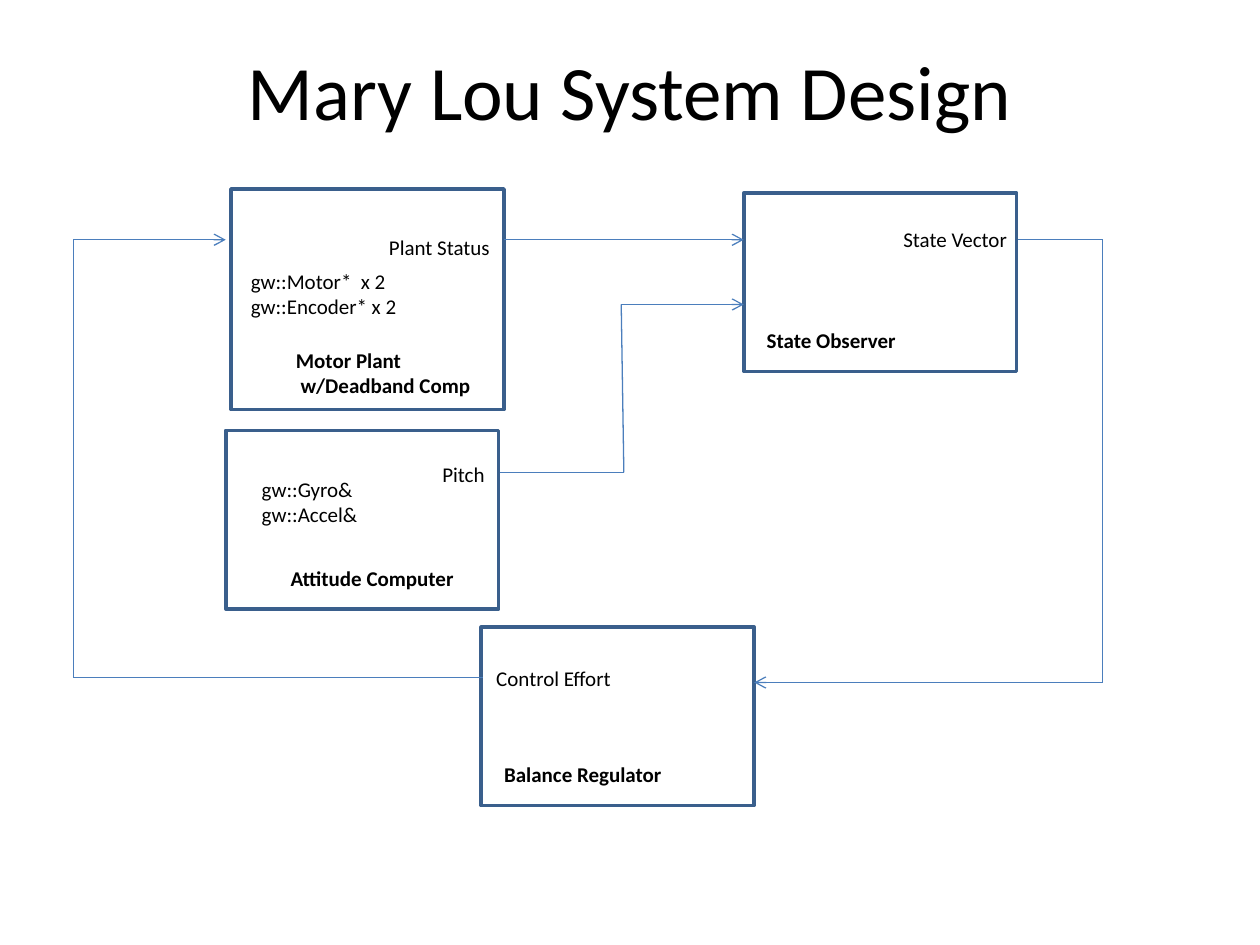
from itertools import pairwise

from lxml import etree
from pptx import Presentation
from pptx.dml.color import RGBColor
from pptx.enum.shapes import MSO_CONNECTOR, MSO_SHAPE
from pptx.enum.text import MSO_ANCHOR, PP_ALIGN
from pptx.oxml.ns import qn
from pptx.util import Pt

LEFT, CENTER, RIGHT = PP_ALIGN.LEFT, PP_ALIGN.CENTER, PP_ALIGN.RIGHT
TOP, MIDDLE = MSO_ANCHOR.TOP, MSO_ANCHOR.MIDDLE
RECTANGLE = MSO_SHAPE.RECTANGLE
STRAIGHT = MSO_CONNECTOR.STRAIGHT

THEME = {
    "font": "Calibri",
    "text": RGBColor(0x00, 0x00, 0x00),
    "border": RGBColor(0x3A, 0x5F, 0x8C),
    "signal": RGBColor(0x4B, 0x7E, 0xBC),
    "border_width": 2,
    "signal_width": 0.75,
    "title_size": 44,
    "label_size": 12,
}

SLIDE_SIZE = (720, 540)
BLOCK_WIDTH = 156
TITLE = ("Mary Lou System Design", (36, 6, 648, 90))

# Labels: lines, offset from the block's corner, size, bold, alignment
BLOCKS = [
    {"corner": (132, 108), "height": 126, "labels": [
        (["Motor Plant", " w/Deadband Comp"], (30, 87), (120, 44.5), True, LEFT),
        (["Plant Status"], (60, 22.3), (95, 26.6), False, RIGHT),
        (["gw::Motor*  x 2", "gw::Encoder* x 2"], (4.2, 41.8), (109.5, 36), False, LEFT),
    ]},
    {"corner": (129, 246), "height": 102, "labels": [
        (["Attitude Computer"], (30, 73.5), (120, 21.8), True, LEFT),
        (["Pitch"], (60, 14), (95, 21.8), False, RIGHT),
        (["gw::Gyro&", "gw::Accel&"], (13.5, 22.6), (92, 36), False, LEFT),
    ]},
    {"corner": (425, 110.3), "height": 102, "labels": [
        (["State Observer"], (6, 73.5), (120, 21.8), True, LEFT),
        (["State Vector"], (62.5, 15.5), (95, 21.8), False, RIGHT),
    ]},
    {"corner": (275, 358.4), "height": 102, "labels": [
        (["Balance Regulator"], (6, 73.5), (120, 21.8), True, LEFT),
        (["Control Effort"], (1.5, 18.2), (124.5, 21.8), False, LEFT),
    ]},
]

# Each signal is a route of corner points; its last segment has the arrowhead
SIGNALS = {
    "plant status": [(288, 137), (425, 137)],
    "pitch": [(286, 270), (356.5, 270), (355, 174), (425, 174)],
    "state vector": [(582, 137), (630, 137), (630, 390), (431, 390)],
    "control effort": [(276, 387), (42, 387), (42, 137), (129, 137)],
}


def points(*values):
    return [Pt(value) for value in values]


def add_text(slide, lines, box, size, bold=False, align=LEFT, anchor=TOP):
    frame = slide.shapes.add_textbox(*points(*box)).text_frame
    frame.word_wrap = True
    frame.vertical_anchor = anchor
    font_format = {"name": THEME["font"], "size": Pt(size), "bold": bold}
    for index, line in enumerate(lines):
        paragraph = frame.add_paragraph() if index else frame.paragraphs[0]
        paragraph.alignment = align
        run = paragraph.add_run()
        run.text = line
        for name, value in font_format.items():
            setattr(run.font, name, value)
        run.font.color.rgb = THEME["text"]


def add_block(slide, corner, height, labels):
    left, top = corner
    shape = slide.shapes.add_shape(RECTANGLE, *points(left, top, BLOCK_WIDTH, height))
    shape.shadow.inherit = False
    shape.fill.background()
    shape.line.color.rgb = THEME["border"]
    shape.line.width = Pt(THEME["border_width"])
    for lines, (right_by, down_by), size, bold, align in labels:
        box = (left + right_by, top + down_by, *size)
        add_text(slide, lines, box, THEME["label_size"], bold, align)


def add_signal(slide, route):
    for start, end in pairwise(route):
        connector = slide.shapes.add_connector(STRAIGHT, *points(*start, *end))
        connector.line.color.rgb = THEME["signal"]
        connector.line.width = Pt(THEME["signal_width"])
        etree.SubElement(connector._element.spPr, qn("a:effectLst"))
    etree.SubElement(connector.line._get_or_add_ln(), qn("a:tailEnd"), type="arrow")


def main():
    presentation = Presentation()
    presentation.slide_width, presentation.slide_height = points(*SLIDE_SIZE)
    slide = presentation.slides.add_slide(presentation.slide_layouts[6])
    title, title_box = TITLE
    add_text(slide, [title], title_box, THEME["title_size"], align=CENTER, anchor=MIDDLE)
    for block in BLOCKS:
        add_block(slide, **block)
    for route in SIGNALS.values():
        add_signal(slide, route)
    presentation.save("out.pptx")


if __name__ == "__main__":
    main()
